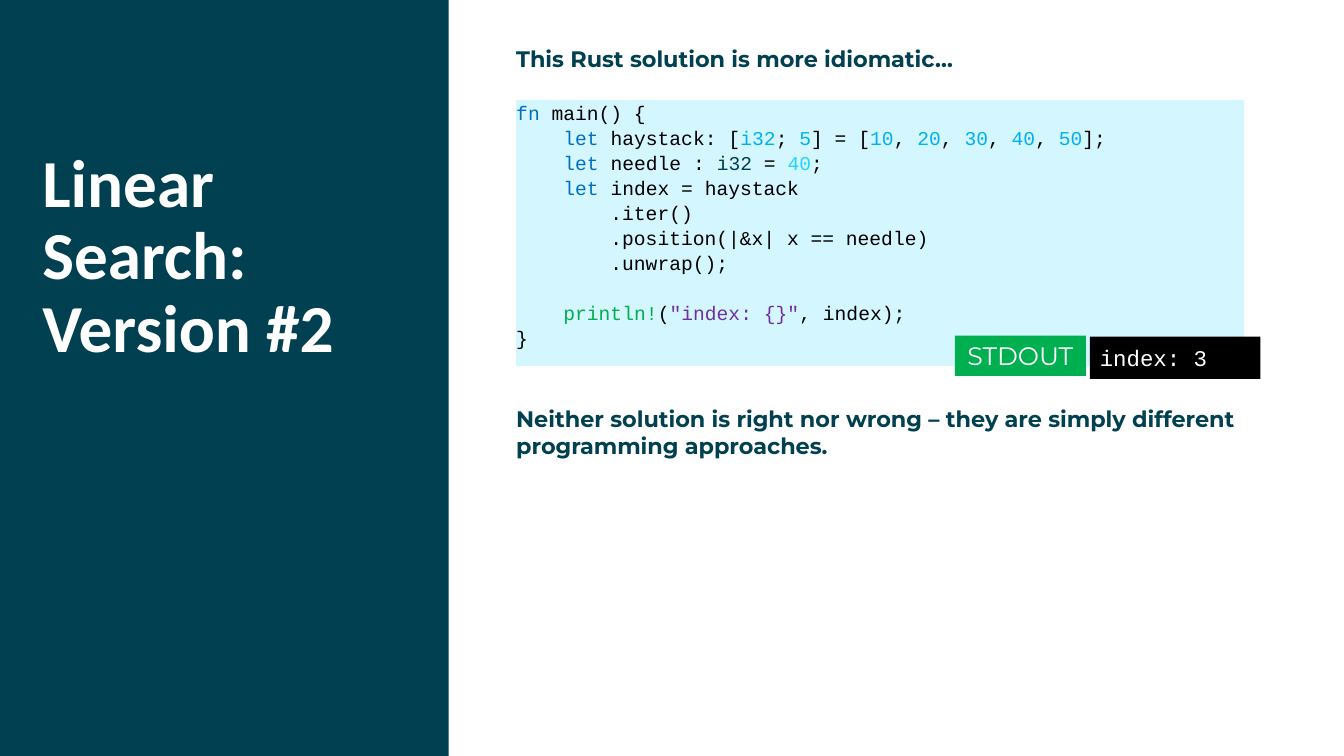
from dataclasses import dataclass
from typing import NamedTuple

from pptx import Presentation
from pptx.dml.color import RGBColor
from pptx.enum.shapes import MSO_SHAPE
from pptx.enum.text import MSO_ANCHOR, MSO_AUTO_SIZE, PP_ALIGN
from pptx.util import Emu, Pt

RECT = MSO_SHAPE.RECTANGLE
TOP, MIDDLE = MSO_ANCHOR.TOP, MSO_ANCHOR.MIDDLE
LEFT, CENTER = PP_ALIGN.LEFT, PP_ALIGN.CENTER
FIXED = MSO_AUTO_SIZE.NONE

SCALE = 9144  # EMU in one px, 100 px to the inch
WIDE, HIGH = 1333, 750
TEXT_X = 512
TITLE_ONLY = 5

TEAL, WHITE, BLACK = "004050", "FFFFFF", "000000"
PALE, GREEN, PURPLE = "D4F6FF", "00B050", "7030A0"
BLUE, SKY, CYAN = "0070C0", "00B0F0", "20D3FF"
SANS, MONO, HEAD = "Montserrat", "Courier New", "Calibri"


class Run(NamedTuple):
    text: str
    color: str = BLACK


Lines = list[list[Run]]


class Area(NamedTuple):
    left: int
    top: int
    width: int
    height: int


@dataclass
class Style:
    font: str
    size: int
    bold: bool = False
    spacing: float = 1.0
    align: PP_ALIGN = LEFT
    anchor: MSO_ANCHOR = TOP
    inset: tuple[int, int] = (0, 0)


@dataclass
class Block:
    area: Area
    style: Style
    lines: Lines
    fill: str | None = None


def px(n: int) -> Emu:
    return Emu(n * SCALE)


def rgb(color: str) -> RGBColor:
    return RGBColor.from_string(color)


def place(shape, area: Area) -> None:
    shape.left, shape.top, shape.width, shape.height = map(px, area)


def write(shape, lines: Lines, style: Style) -> None:
    frame = shape.text_frame
    frame.word_wrap = True
    frame.auto_size = FIXED
    frame.vertical_anchor = style.anchor
    side, edge = map(px, style.inset)
    frame.margin_left = frame.margin_right = side
    frame.margin_top = frame.margin_bottom = edge
    for i, line in enumerate(lines):
        para = frame.add_paragraph() if i else frame.paragraphs[0]
        para.alignment = style.align
        para.line_spacing = style.spacing
        for part in line:
            run = para.add_run()
            run.text = part.text
            run.font.name = style.font
            run.font.size = Pt(style.size)
            run.font.bold = style.bold
            run.font.color.rgb = rgb(part.color)


def add_rect(slide, area: Area, fill: str):
    shape = slide.shapes.add_shape(RECT, *map(px, area))
    shape.shadow.inherit = False
    shape.fill.solid()
    shape.fill.fore_color.rgb = rgb(fill)
    shape.line.fill.background()
    return shape


def add_block(slide, block: Block) -> None:
    if block.fill:
        shape = add_rect(slide, block.area, block.fill)
    else:
        shape = slide.shapes.add_textbox(*map(px, block.area))
    write(shape, block.lines, block.style)


def let(name: str) -> list[Run]:
    """Start an indented Rust binding."""
    return [Run("    "), Run("let", BLUE), Run(name)]


def items(values: list[int]) -> list[Run]:
    """Colour numbers and put plain commas between them."""
    runs = [run for n in values for run in (Run(", "), Run(str(n), SKY))]
    return runs[1:]


CODE = [
    [Run("fn", BLUE), Run(" main() {")],
    [*let(" haystack: ["), Run("i32", SKY), Run("; "), Run("5", SKY),
     Run("] = ["), *items([10, 20, 30, 40, 50]), Run("];")],
    [*let(" needle : "), Run("i32", TEAL), Run(" = "), Run("40", CYAN),
     Run(";")],
    let(" index = haystack"),
    [Run("        .iter()")],
    [Run("        .position(|&x| x == needle)")],
    [Run("        .unwrap();")],
    [Run("    ")],
    [Run("    "), Run("println!", GREEN), Run("("),
     Run('"index: {}"', PURPLE), Run(", index);")],
    [Run("}")],
]

TITLE = Style(HEAD, 48, bold=True, spacing=0.9)
NOTE = Style(SANS, 16, bold=True)
LIST = Style(MONO, 14, spacing=1.06)
LABEL = Style(SANS, 18, align=CENTER, anchor=MIDDLE, inset=(10, 5))
OUTPUT = Style(MONO, 16, anchor=MIDDLE, inset=(10, 5))

BLOCKS = [
    Block(Area(TEXT_X, 45, 792, 30), NOTE,
          [[Run("This Rust solution is more idiomatic…", TEAL)]]),
    Block(Area(TEXT_X, 402, 792, 60), NOTE,
          [[Run("Neither solution is right nor wrong – they are simply "
                "different programming approaches.", TEAL)]]),
    Block(Area(TEXT_X, 99, 722, 264), LIST, CODE, PALE),
    Block(Area(947, 333, 130, 40), LABEL, [[Run("STDOUT", WHITE)]], GREEN),
    Block(Area(1081, 334, 169, 42), OUTPUT, [[Run("index: 3", WHITE)]], BLACK),
]


def main() -> None:
    deck = Presentation()
    deck.slide_width, deck.slide_height = px(WIDE), px(HIGH)
    slide = deck.slides.add_slide(deck.slide_layouts[TITLE_ONLY])

    panel = add_rect(slide, Area(0, 0, 445, HIGH), TEAL)
    title = slide.shapes.title
    panel._element.addnext(title._element)  # title in front of panel
    place(title, Area(42, 148, 377, 301))
    write(title, [[Run("Linear Search: Version #2", WHITE)]], TITLE)

    for block in BLOCKS:
        add_block(slide, block)
    deck.save("out.pptx")


if __name__ == "__main__":
    main()
